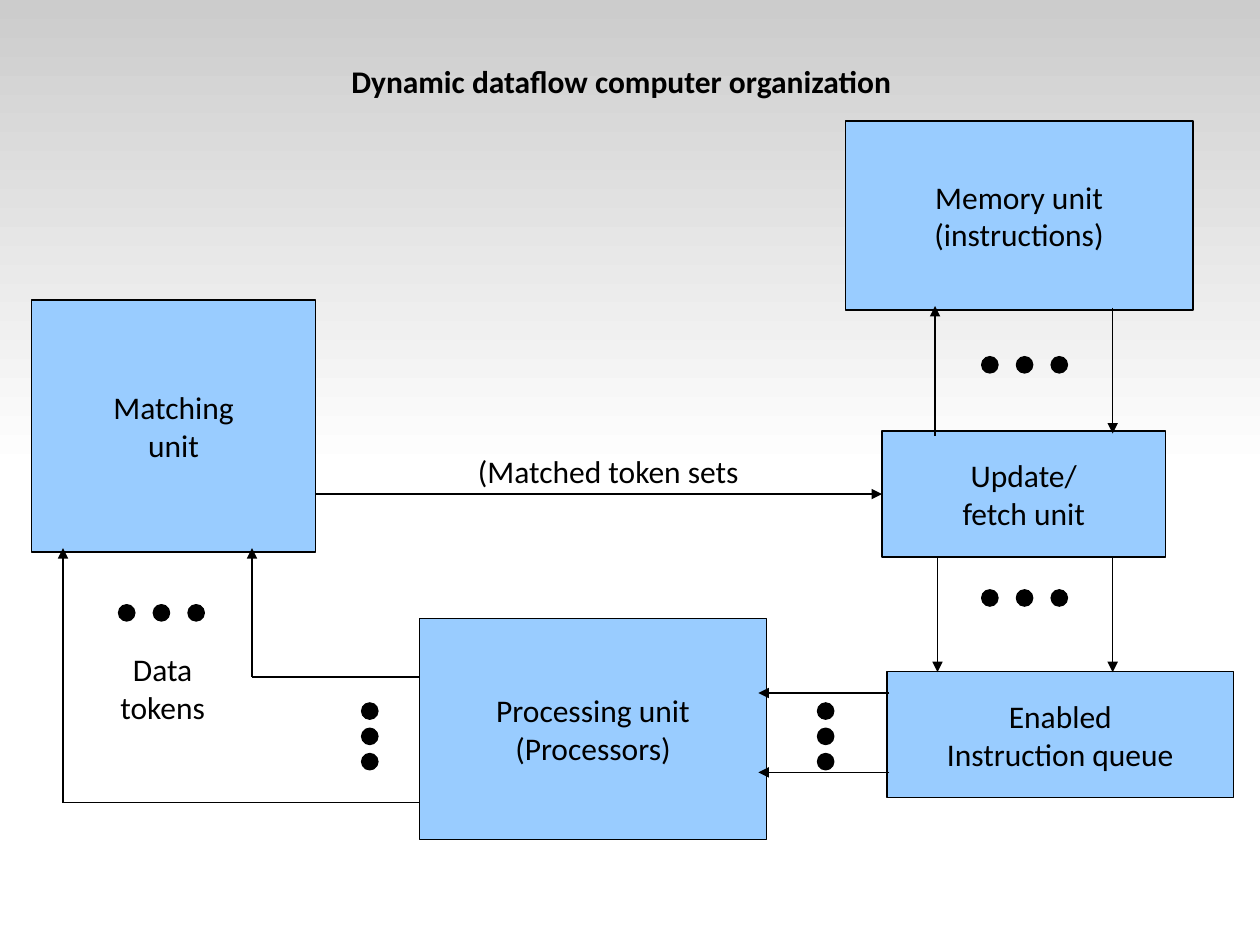
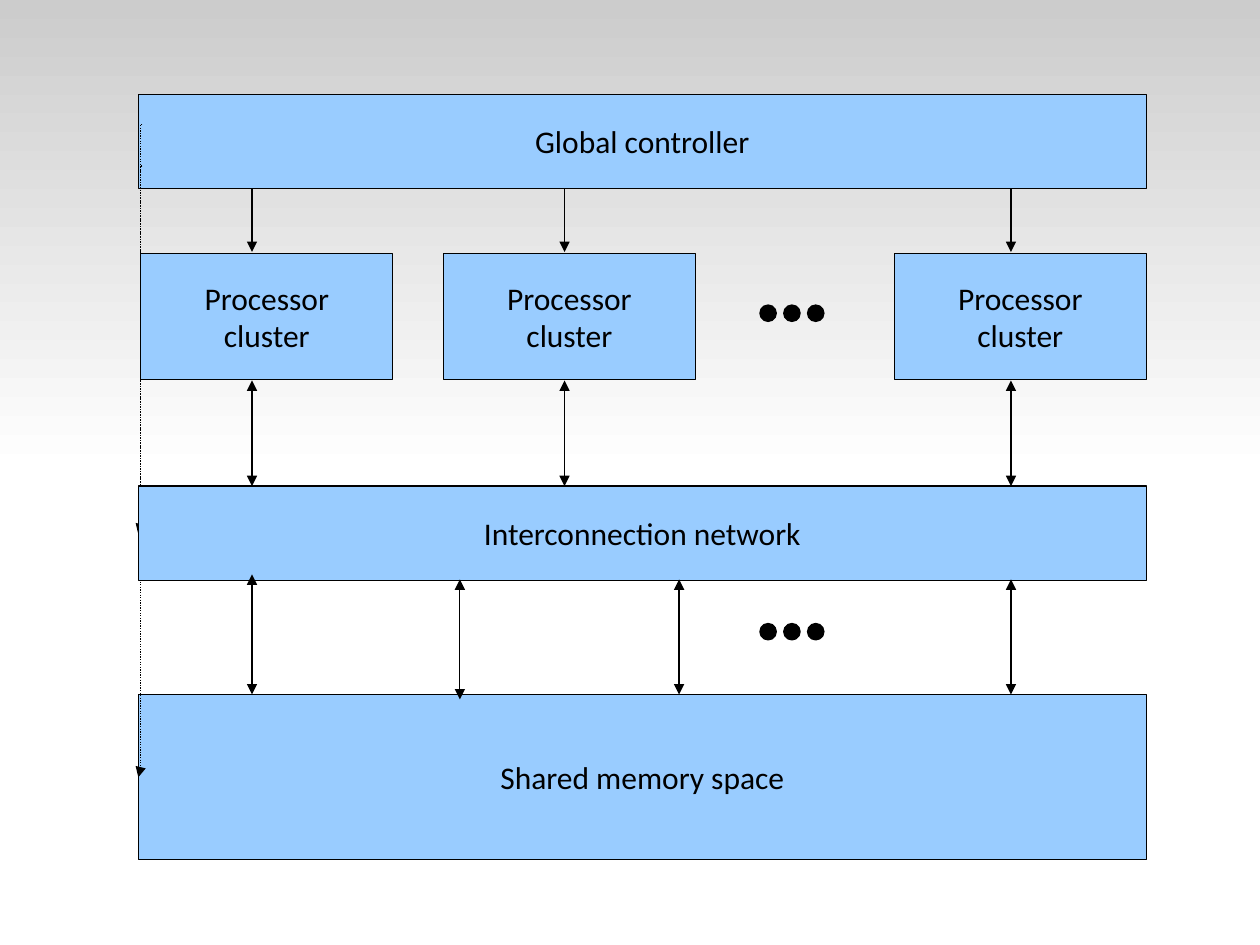
from dataclasses import dataclass

from lxml.etree import SubElement
from pptx import Presentation
from pptx.dml.color import RGBColor
from pptx.enum.dml import MSO_LINE
from pptx.enum.shapes import MSO_CONNECTOR, MSO_SHAPE
from pptx.enum.text import MSO_ANCHOR, MSO_AUTO_SIZE, PP_ALIGN
from pptx.oxml.ns import qn
from pptx.util import Cm, Pt


@dataclass(frozen=True)
class Theme:
    ink: RGBColor = RGBColor(0, 0, 0)
    box: RGBColor = RGBColor(0x99, 0xCC, 0xFF)
    grey: RGBColor = RGBColor(0xCC, 0xCC, 0xCC)
    white: RGBColor = RGBColor(0xFF, 0xFF, 0xFF)
    font: str = "Calibri"
    size: Pt = Pt(18)
    rule: Pt = Pt(0.75)
    dot: float = 0.33


def write(frame, text, theme, bold=False, wrap=True, anchor=MSO_ANCHOR.MIDDLE):
    """Fill a text frame, one centred paragraph per line of text."""
    frame.text = text
    frame.auto_size = MSO_AUTO_SIZE.NONE
    frame.word_wrap = wrap
    frame.vertical_anchor = anchor
    for para in frame.paragraphs:
        para.alignment = PP_ALIGN.CENTER
        font = para.font
        font.name, font.size, font.bold = theme.font, theme.size, bold
        font.color.rgb = theme.ink


class Deck:
    """Holds the theme and the slide being drawn; lengths are in centimetres."""

    def __init__(self, theme):
        self.theme = theme
        self.file = Presentation()
        self.file.slide_width, self.file.slide_height = Cm(25.4), Cm(19.05)
        self.slide = None

    def start(self, layout):
        self.slide = self.file.slides.add_slide(
            self.file.slide_layouts.get_by_name(layout))

    def shape(self, kind, *place):
        item = self.slide.shapes.add_shape(kind, *map(Cm, place))
        item.shadow.inherit = False
        item.line.color.rgb = self.theme.ink
        item.line.width = self.theme.rule
        return item

    def band(self):
        """Draw the fading top band and move it to the slide master."""
        item = self.shape(MSO_SHAPE.RECTANGLE, 0, 0, 25.4, 9.53)
        item.line.fill.background()
        item.fill.gradient()
        item.fill.gradient_angle = 270
        for stop, tone in zip(item.fill.gradient_stops,
                              (self.theme.grey, self.theme.white)):
            stop.color.rgb = tone
        first, last = item.fill.gradient_stops
        first.position, last.position = 0, 1
        self.file.slide_master.shapes.element.insert(2, item.element)

    def title(self, text, *place):
        item = self.slide.shapes.title
        item.left, item.top, item.width, item.height = map(Cm, place)
        write(item.text_frame, text, self.theme, bold=True)

    def box(self, text, *place):
        item = self.shape(MSO_SHAPE.RECTANGLE, *place)
        item.fill.solid()
        item.fill.fore_color.rgb = self.theme.box
        write(item.text_frame, text, self.theme, wrap=False)

    def label(self, text, *place):
        item = self.slide.shapes.add_textbox(*map(Cm, place))
        write(item.text_frame, text, self.theme, anchor=MSO_ANCHOR.TOP)

    def dots(self, left, top, across=0, down=0):
        for i in range(3):
            item = self.shape(MSO_SHAPE.OVAL, left + i * across, top + i * down,
                              self.theme.dot, self.theme.dot)
            item.fill.solid()
            item.fill.fore_color.rgb = self.theme.ink

    def line(self, *ends, heads=("tailEnd",), kind=MSO_CONNECTOR.STRAIGHT,
             dash=None):
        item = self.slide.shapes.add_connector(kind, *map(Cm, ends))
        item.line.color.rgb = self.theme.ink
        item.line.width = self.theme.rule
        if dash:
            item.line.dash_style = dash
        props = item.element.spPr
        for head in heads:
            SubElement(props.find(qn("a:ln")), qn(f"a:{head}"), type="triangle")
        SubElement(props, qn("a:effectLst"))


BOTH = ("headEnd", "tailEnd")


def dataflow(deck):
    deck.start("Title Only")
    deck.band()
    deck.title("Dynamic dataflow computer organization", 4.88, 1.12, 15.29, 1.02)

    # Outer units
    deck.box("Memory unit\n(instructions)", 17.04, 2.44, 7.01, 3.81)
    deck.box("Enabled\nInstruction queue", 17.88, 13.54, 6.99, 2.54)
    deck.box("Matching\nunit", 0.64, 6.05, 5.72, 5.08)

    # Matched tokens out, data tokens back
    deck.line(6.35, 9.96, 17.78, 9.96)
    for x, y in ((1.27, 16.18), (5.08, 13.65)):
        deck.line(x, y, x, 11.05)
        deck.line(x, y, 8.89, y, heads=())
    deck.box("Processing unit\n(Processors)", 8.46, 12.47, 6.99, 4.45)

    # Queue to processors, update unit to queue
    for y in (13.97, 15.57):
        deck.line(17.93, y, 15.29, y)
    for x in (18.9, 22.43):
        deck.line(x, 11.01, x, 13.55)
    deck.box("Update/\nfetch unit", 17.78, 8.69, 5.72, 2.54)

    # Memory and update unit
    deck.line(18.85, 8.79, 18.85, 6.17)
    deck.line(22.43, 6.2, 22.43, 8.74)

    # Ellipses and labels
    for x, y in ((19.79, 7.19), (19.79, 11.89), (2.39, 12.19)):
        deck.dots(x, y, across=0.7)
    for x in (7.29, 16.48):
        deck.dots(x, 14.17, down=0.51)
    deck.label("Data\ntokens", 1.96, 12.98, 2.64, 1.78)
    deck.label("(Matched token sets", 8.15, 8.99, 8.23, 1.6)


def clusters(deck):
    left, wide = 2.79, 20.32
    deck.start("Blank")
    deck.box("Global controller", left, 1.9, wide, 1.9)
    deck.box("Shared memory space", left, 14, wide, 3.33)
    for y in (6.15, 12.57):
        deck.dots(15.32, y, across=0.48)

    # Dotted control lines
    for top, end in ((3.35, 10.77), (2.51, 15.67)):
        deck.line(2.87, top, left, end, kind=MSO_CONNECTOR.ELBOW,
                  dash=MSO_LINE.ROUND_DOT)

    # Clusters with their links up and down
    for x, link in ((2.84, 5.08), (8.94, 11.38), (18.03, 20.38)):
        deck.line(link, 3.81, link, 5.08)
        deck.line(link, 7.67, link, 9.8, heads=BOTH)
        deck.box("Processor\ncluster", x, 5.11, 5.08, 2.54)

    # Network and its links to memory
    deck.box("Interconnection network", left, 9.8, wide, 1.9)
    for x, top, end in ((5.08, 11.58, 14), (9.27, 11.68, 14.1),
                        (13.69, 11.68, 14), (20.38, 11.68, 14)):
        deck.line(x, top, x, end, heads=BOTH)


def main():
    deck = Deck(Theme())
    dataflow(deck)
    clusters(deck)
    deck.file.save("out.pptx")


if __name__ == "__main__":
    main()
